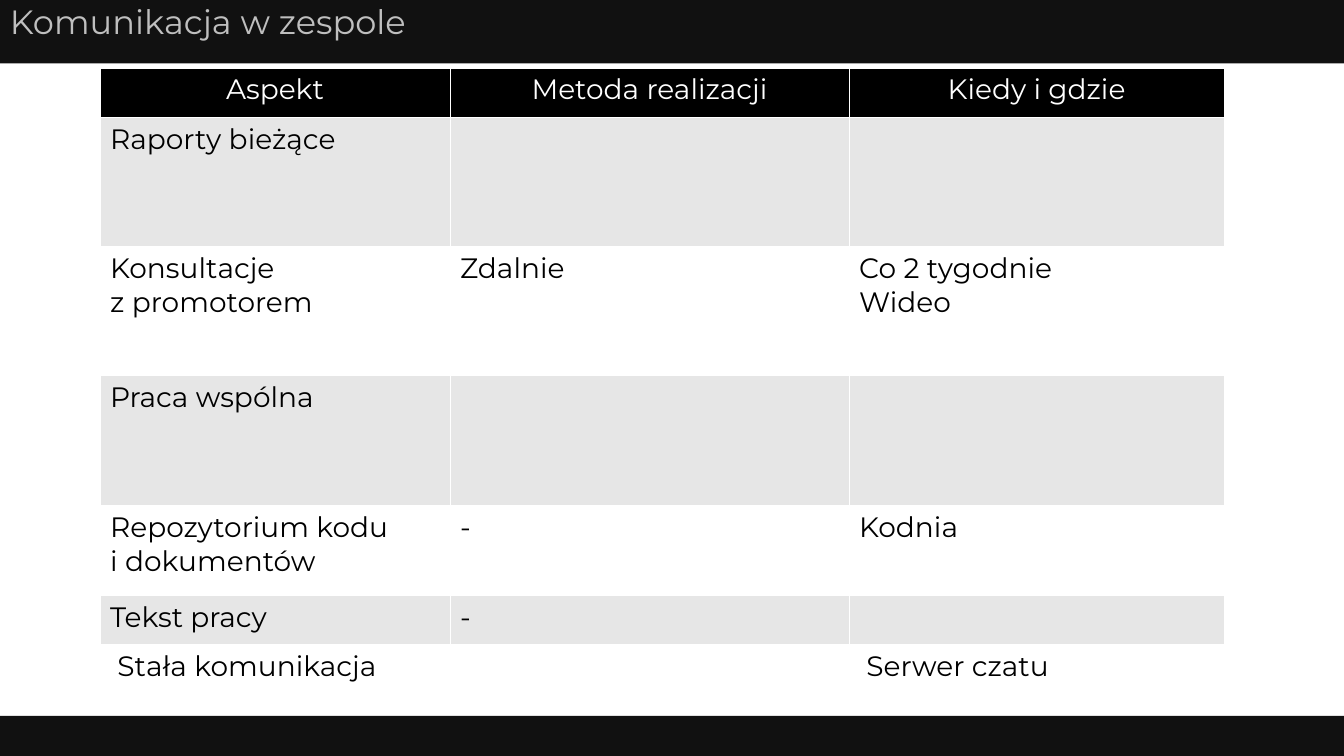
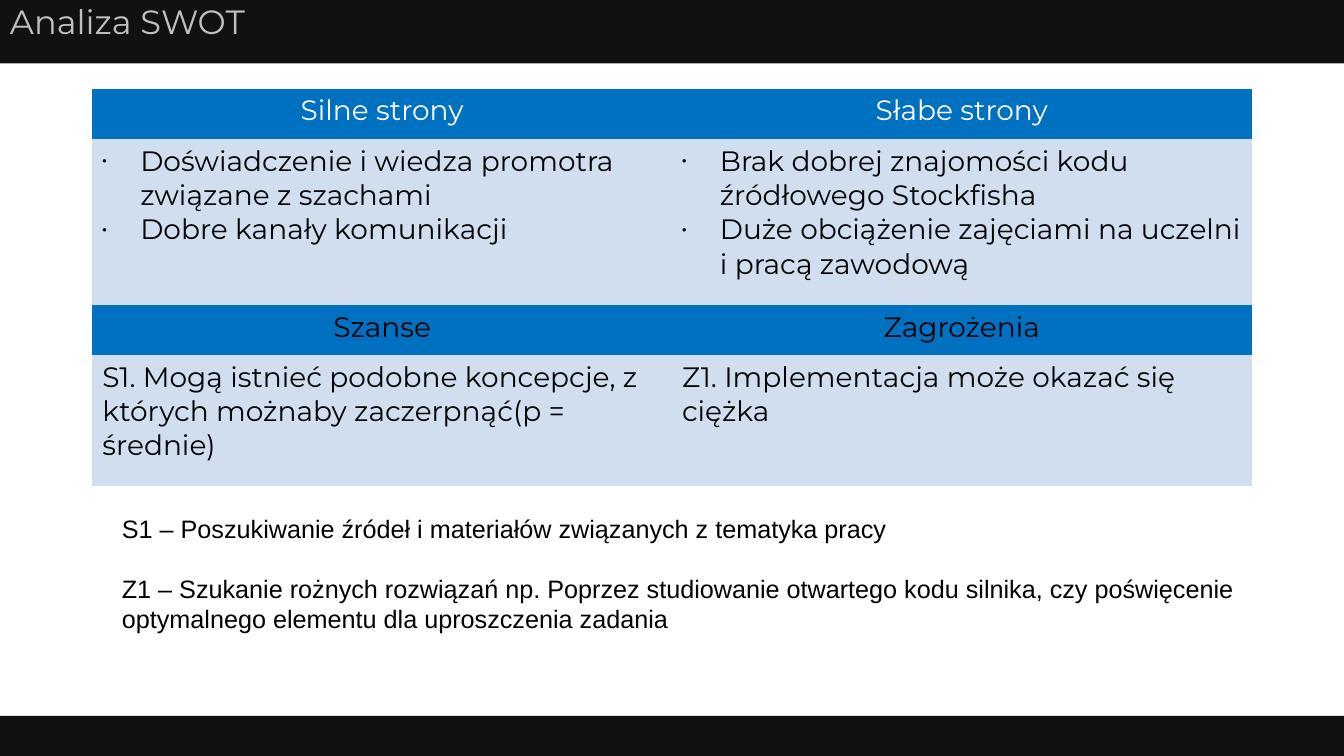
from lxml import etree
from pptx import Presentation
from pptx import util as u
from pptx.dml.color import RGBColor
from pptx.enum import shapes, text
from pptx.oxml import ns

Pt = u.Pt
BAND = RGBColor(0x11, 0x11, 0x11)
SILVER = RGBColor(0xBF, 0xBF, 0xBF)
BLACK = RGBColor(0, 0, 0)
WHITE = RGBColor(0xFF, 0xFF, 0xFF)
GRAY = RGBColor(0xE6, 0xE6, 0xE6)
BLUE = RGBColor(0, 0x70, 0xC0)
PALE = RGBColor(0xD1, 0xDE, 0xEF)

WIDE, HIGH = 960, 540
LEFT, MID = text.PP_ALIGN.LEFT, text.PP_ALIGN.CENTER
TITLE = {"name": "Montserrat", "size": Pt(24), "color": SILVER}
HEAD = {"name": "Montserrat", "size": Pt(20), "color": WHITE}
BODY = {**HEAD, "color": BLACK}
NOTE = {"name": "Arial", "size": Pt(18), "color": BLACK}
PLAIN = "{2D5ABB26-0587-4C30-8999-92F81FD0307C}"


def style(font, form):
    """Apply a dict of format values to a font."""
    for key, val in form.items():
        if key == "color":
            font.color.rgb = val
        else:
            setattr(font, key, val)


def child(node, tag, **attrs):
    """Append an XML element to a node."""
    return etree.SubElement(node, ns.qn(tag), attrs)


def write(frame, lines, form, align=LEFT, gap=0, lead=None, dots=False):
    """Fill a text frame with one paragraph per line."""
    frame.word_wrap = True
    for i, line in enumerate(lines):
        para = frame.add_paragraph() if i else frame.paragraphs[0]
        para.alignment = align
        if lead:
            para.line_spacing = lead
        if gap and i:
            para.space_before = Pt(gap)
        if dots:
            bullet(para)
        run = para.add_run()
        run.text = line
        style(run.font, form)


def bullet(para):
    """Give a paragraph a small hanging dot."""
    props = para._p.get_or_add_pPr()
    props.set("marL", str(Pt(27)))
    props.set("indent", str(-Pt(27)))
    child(child(props, "a:buClr"), "a:srgbClr", val=str(BLACK))
    child(props, "a:buSzPct", val="45000")
    child(props, "a:buFont", typeface="Arial")
    child(props, "a:buChar", char="•")


def band(slide, x, y, wide, high):
    """Draw a dark band."""
    shape = slide.shapes.add_shape(shapes.MSO_SHAPE.RECTANGLE,
                                   *map(Pt, (x, y, wide, high)))
    shape.shadow.inherit = False
    shape.fill.solid()
    shape.fill.fore_color.rgb = BAND
    shape.line.fill.background()
    return shape


def page(deck, title):
    """Add a slide with the title band and the footer band."""
    slide = deck.slides.add_slide(deck.slide_layouts[6])
    frame = band(slide, 0, 0, WIDE, 45.4).text_frame
    frame.vertical_anchor = text.MSO_ANCHOR.TOP
    frame.margin_top = Pt(4)
    write(frame, [title], TITLE, lead=0.9)
    foot = 28.6
    band(slide, 0, HIGH - foot, WIDE, foot)
    return slide


def grid(slide, x, y, cols, rows):
    """Add an unstyled table with given column and row sizes."""
    frame = slide.shapes.add_table(len(rows), len(cols), Pt(x), Pt(y),
                                   Pt(sum(cols)), Pt(sum(rows)))
    table = frame.table
    table._tbl.tblPr.find(ns.qn("a:tableStyleId")).text = PLAIN
    for col, size in zip(table.columns, cols):
        col.width = Pt(size)
    for row, size in zip(table.rows, rows):
        row.height = Pt(size)
    return table


def paint(cell, color):
    """Fill a cell with a solid colour."""
    cell.fill.solid()
    cell.fill.fore_color.rgb = color


def edge(cell):
    """Draw thin white borders around a cell."""
    props = cell._tc.get_or_add_tcPr()
    for i, side in enumerate("LRTB"):
        line = etree.Element(ns.qn("a:ln" + side), w="762")
        child(child(line, "a:solidFill"), "a:srgbClr", val=str(WHITE))
        props.insert(i, line)


def plan(slide, x, y):
    """Place the table of team communication."""
    data = [
        ("Aspekt", "Metoda realizacji", "Kiedy i gdzie"),
        ("Raporty bieżące", "", ""),
        ("Konsultacje\nz promotorem", "Zdalnie", "Co 2 tygodnie\nWideo"),
        ("Praca wspólna", "", ""),
        ("Repozytorium kodu\ni dokumentów", "-", "Kodnia"),
        ("Tekst pracy", "-", ""),
        ("Stała komunikacja", "", "Serwer czatu"),
    ]
    table = grid(slide, x, y, (250, 285, 268), (35.2, 92.4, 92.4, 92.4, 64.4, 35, 36))
    for r, row in enumerate(data):
        for c, words in enumerate(row):
            cell = table.cell(r, c)
            paint(cell, GRAY if r % 2 else WHITE if r else BLACK)
            edge(cell)
            if r == len(data) - 1:
                cell.margin_left = Pt(12.4)
            if words:
                write(cell.text_frame, words.split("\n"), BODY if r else HEAD,
                      LEFT if r else MID)


def swot(slide, x, y):
    """Place the SWOT table."""
    data = [
        (["Silne strony"], ["Słabe strony"]),
        (["Doświadczenie i wiedza promotra związane z szachami",
          "Dobre kanały komunikacji"],
         ["Brak dobrej znajomości kodu źródłowego Stockfisha",
          "Duże obciążenie zajęciami na uczelni i pracą zawodową"]),
        (["Szanse"], ["Zagrożenia"]),
        (["S1. Mogą istnieć podobne koncepcje, z których możnaby "
          "zaczerpnąć(p = średnie)"],
         ["Z1. Implementacja może okazać się ciężka"]),
    ]
    table = grid(slide, x, y, (414, 414), (36, 118.4, 36, 93.6))
    for r, row in enumerate(data):
        for c, lines in enumerate(row):
            cell = table.cell(r, c)
            paint(cell, PALE if r % 2 else BLUE)
            write(cell.text_frame, lines, BODY if r else HEAD,
                  LEFT if r % 2 else MID, dots=r == 1)


def notes(slide, box):
    """Place the remarks under the SWOT table."""
    frame = slide.shapes.add_textbox(*map(Pt, box)).text_frame
    write(frame, [
        "S1 – Poszukiwanie źródeł i materiałów związanych z tematyka pracy",
        "Z1 – Szukanie rożnych rozwiązań np. Poprzez studiowanie otwartego "
        "kodu silnika, czy poświęcenie optymalnego elementu dla uproszczenia "
        "zadania",
    ], NOTE, gap=21.5)


def main():
    """Build and save the deck."""
    deck = Presentation()
    deck.slide_width, deck.slide_height = Pt(WIDE), Pt(HIGH)
    plan(page(deck, "Komunikacja w zespole"), 71.5, 48.3)
    slide = page(deck, "Analiza SWOT")
    swot(slide, 66, 63.3)
    notes(slide, (80, 363, 814, 88))
    deck.save("out.pptx")


if __name__ == "__main__":
    main()
